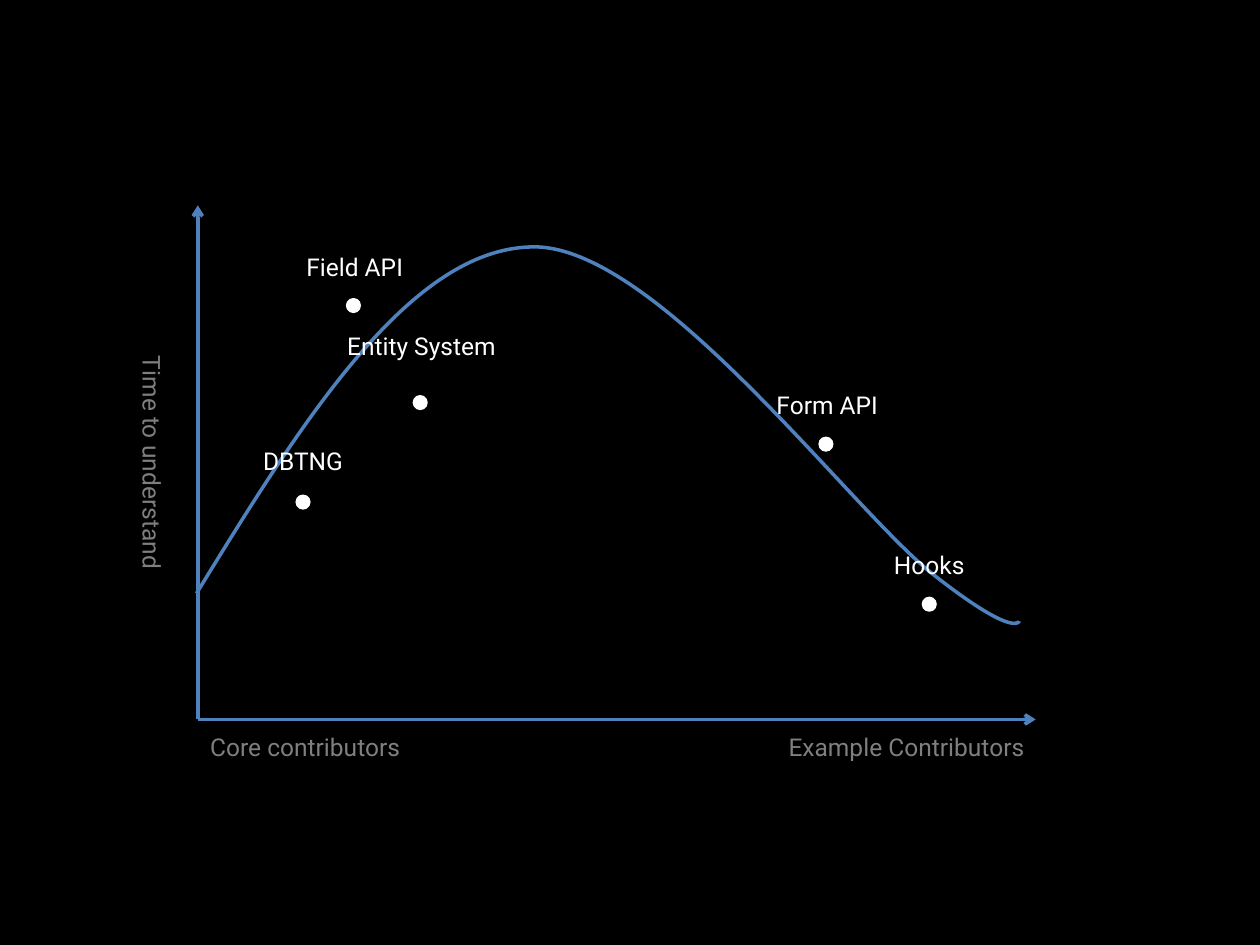
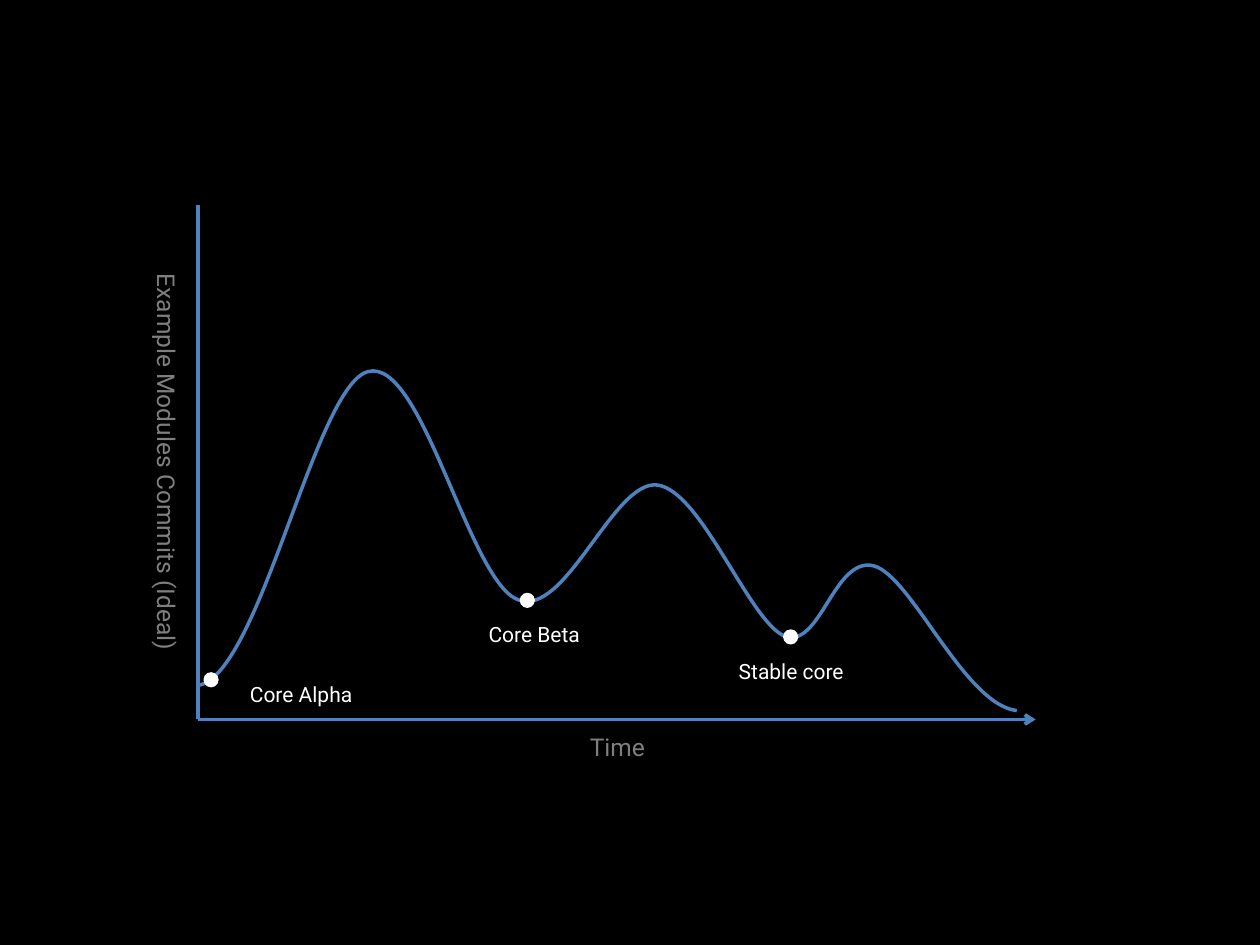
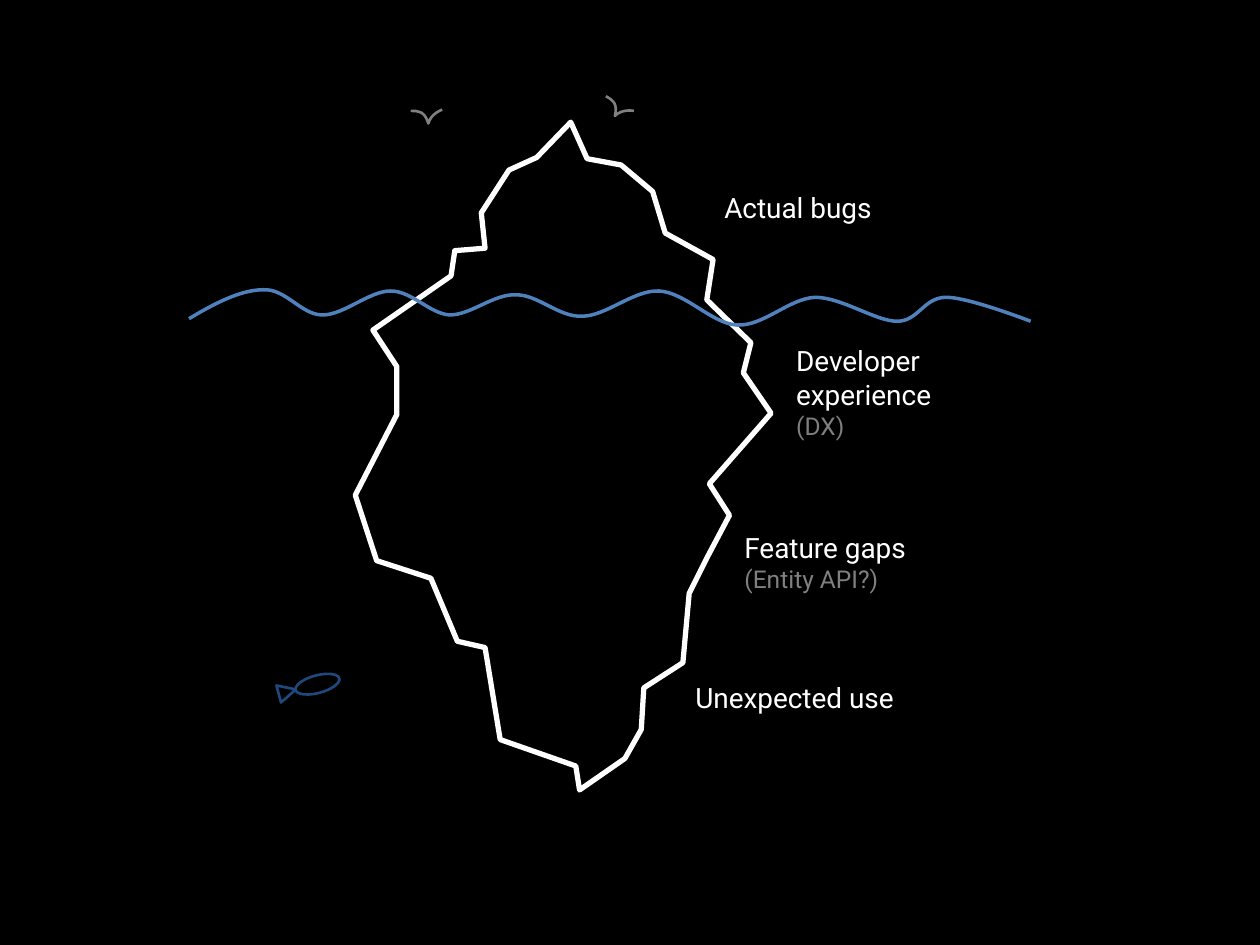
from dataclasses import dataclass

import pptx
import pptx.dml.color
import pptx.enum.shapes
import pptx.enum.text
import pptx.oxml.ns
import pptx.oxml.xmlchemy
import pptx.util

Inches = pptx.util.Inches
Pt = pptx.util.Pt
Align = pptx.enum.text.PP_ALIGN
Preset = pptx.enum.shapes.MSO_SHAPE
new_element = pptx.oxml.xmlchemy.OxmlElement

FONT = "Roboto"
BLACK, WHITE, GREY = "000000", "FFFFFF", "7F7F7F"
BLUE, NAVY = "4F81BD", "1F497D"
BIRD_GREY = "808080"
ORIGIN = (1.57, 5.71)
AXIS_TOP, AXIS_RIGHT = 1.63, 8.22
DOT_SIZE = 0.11

Point = tuple[float, float]


@dataclass(frozen=True)
class Line:
    text: str
    size: float = 14
    color: str = WHITE


@dataclass(frozen=True)
class Caption:
    lines: tuple[Line, ...]
    left: float
    top: float
    width: float
    height: float = 0.34
    align: Align = Align.LEFT
    rotation: float = 0


@dataclass(frozen=True)
class Marker:
    """A labelled dot on a chart."""
    name: str
    dot: Point
    label: Point
    label_height: float = 0.34


TOPICS = (
    Marker("DBTNG", (2.35, 3.93), (1.56, 3.49)),
    Marker("Hooks", (7.32, 4.74), (6.53, 4.32)),
    Marker("Field API", (2.75, 2.37), (1.97, 1.95)),
    Marker("Entity System", (3.28, 3.14), (2.5, 2.58), 0.57),
    Marker("Form API", (6.5, 3.47), (5.72, 3.05)),
)
RELEASES = (
    Marker("Core Alpha", (1.62, 5.34), (1.62, 5.36), 0.3),
    Marker("Core Beta", (4.13, 4.71), (3.47, 4.88), 0.3),
    Marker("Stable core", (6.22, 5), (5.51, 5.18), 0.3),
)
LEARNING_AXIS_CAPTIONS = (
    Caption((Line("Time to understand", color=GREY),), -0.83, 3.5, 4.07,
            align=Align.CENTER, rotation=90),
    Caption((Line("Core contributors", color=GREY),), 1.57, 5.76, 3.36),
    Caption((Line("Example Contributors", color=GREY),), 4.87, 5.76, 3.36, align=Align.RIGHT),
)
COMMIT_AXIS_CAPTIONS = (
    Caption((Line("Example Modules Commits (Ideal)", color=GREY),), -0.83, 3.38, 4.07, 0.57,
            Align.CENTER, 90),
    Caption((Line("Time", color=GREY),), 1.57, 5.76, 6.66, align=Align.CENTER),
)
ICEBERG_CAPTIONS = (
    Caption((Line("Actual bugs", 16),), 5.65, 1.46, 2.13, 0.37),
    Caption((Line("Developer experience", 16), Line("(DX)", color=GREY)), 6.22, 2.68, 2.08, 0.91),
    Caption((Line("Feature gaps", 16), Line("(Entity API?)", color=BIRD_GREY)),
            5.81, 4.16, 2.56, 0.61),
    Caption((Line("Unexpected use", 16),), 5.42, 5.35, 2.57, 0.37),
)

# Curves: a start point, then two control points and an end point per segment.
LEARNING_CURVE = (
    (1.56, 4.71), (2.4, 3.34), (3.25, 1.98), (4.22, 1.96),
    (5.2, 1.93), (6.77, 4.07), (7.42, 4.57), (8.06, 5.07), (8.09, 4.93), (8.09, 4.93),
)
COMMIT_CURVE = (
    (1.57, 5.44), (2.06, 5.37), (2.5, 3.06), (2.92, 2.95),
    (3.35, 2.83), (3.72, 4.61), (4.11, 4.76), (4.49, 4.91), (4.87, 3.8), (5.22, 3.85),
    (5.57, 3.9), (5.95, 4.94), (6.23, 5.05), (6.51, 5.15), (6.62, 4.42), (6.93, 4.49),
    (7.23, 4.56), (7.65, 5.59), (8.07, 5.64),
)
WATERLINE = (
    (1.5, 2.53), (1.7, 2.41), (1.91, 2.3), (2.09, 2.3),
    (2.27, 2.29), (2.39, 2.5), (2.56, 2.5), (2.73, 2.5), (2.93, 2.31), (3.1, 2.31),
    (3.27, 2.31), (3.41, 2.49), (3.57, 2.5), (3.74, 2.5), (3.92, 2.33), (4.1, 2.34),
    (4.27, 2.34), (4.44, 2.52), (4.62, 2.51), (4.81, 2.51), (5.03, 2.3), (5.23, 2.31),
    (5.44, 2.32), (5.65, 2.57), (5.85, 2.58), (6.06, 2.59), (6.26, 2.37), (6.47, 2.36),
    (6.68, 2.36), (6.95, 2.55), (7.12, 2.55), (7.29, 2.55), (7.33, 2.36), (7.51, 2.36),
    (7.69, 2.36), (8.18, 2.55), (8.18, 2.55),
)
BIRD = (
    (0, 0.01), (0.06, 0.01), (0.11, 0.01), (0.14, 0.11),
    (0.16, 0.03), (0.25, 0), (0.25, 0),
)
ICEBERG = (
    (4.53, 0.97), (4.26, 1.25), (4.04, 1.35), (3.82, 1.69), (3.85, 1.97), (3.61, 1.99),
    (3.58, 2.19), (2.96, 2.62), (3.15, 2.91), (3.15, 3.29), (2.82, 3.93), (2.99, 4.45),
    (3.42, 4.59), (3.63, 5.09), (3.85, 5.14), (3.97, 5.87), (4.57, 6.08), (4.6, 6.27),
    (4.96, 6.02), (5.09, 5.79), (5.11, 5.46), (5.42, 5.26), (5.47, 4.71), (5.61, 4.43),
    (5.79, 4.09), (5.63, 3.84), (6.12, 3.28), (5.9, 2.96), (5.96, 2.72), (5.61, 2.38),
    (5.66, 2.06), (5.28, 1.85), (5.18, 1.52), (4.93, 1.31), (4.66, 1.26),
)


def rgb(value: str) -> pptx.dml.color.RGBColor:
    return pptx.dml.color.RGBColor.from_string(value)


def add_black_slide(deck):
    slide = deck.slides.add_slide(deck.slide_layouts[6])
    slide.background.fill.solid()
    slide.background.fill.fore_color.rgb = rgb(BLACK)
    return slide


def style_line(shape, color: str, width: float) -> None:
    shape.line.color.rgb = rgb(color)
    shape.line.width = Pt(width)


def style_outline(shape, color: str, width: float) -> None:
    """Leave only the line of a shape, with no fill or shadow."""
    shape.shadow.inherit = False
    shape.fill.background()
    style_line(shape, color, width)


def add_caption(slide, caption: Caption) -> None:
    box = slide.shapes.add_textbox(Inches(caption.left), Inches(caption.top),
                                   Inches(caption.width), Inches(caption.height))
    box.rotation = caption.rotation
    frame = box.text_frame
    frame.word_wrap = True
    frame.auto_size = pptx.enum.text.MSO_AUTO_SIZE.SHAPE_TO_FIT_TEXT
    frame.text = "\n".join(line.text for line in caption.lines)
    for paragraph, line in zip(frame.paragraphs, caption.lines):
        paragraph.alignment = caption.align
        font = paragraph.runs[0].font
        font.name = FONT
        font.size = Pt(line.size)
        font.color.rgb = rgb(line.color)


def add_captions(slide, captions: tuple[Caption, ...]) -> None:
    for caption in captions:
        add_caption(slide, caption)


def add_axis(slide, end: Point, arrow: bool) -> None:
    axis = slide.shapes.add_connector(pptx.enum.shapes.MSO_CONNECTOR.STRAIGHT,
                                      *map(Inches, ORIGIN), *map(Inches, end))
    style_line(axis, BLUE, 2)
    axis._element.spPr.append(new_element("a:effectLst"))
    if arrow:
        tail = new_element("a:tailEnd")
        tail.set("type", "arrow")
        axis.line._get_or_add_ln().append(tail)


def add_axes(slide, vertical_arrow: bool) -> None:
    add_axis(slide, (ORIGIN[0], AXIS_TOP), vertical_arrow)
    add_axis(slide, (AXIS_RIGHT, ORIGIN[1]), True)


def add_outline(slide, points: tuple[Point, ...], color: str, width: float, close: bool = False):
    start, *rest = [(Inches(x), Inches(y)) for x, y in points]
    builder = slide.shapes.build_freeform(*start)
    builder.add_line_segments(rest, close=close)
    outline = builder.convert_to_shape()
    style_outline(outline, color, width)
    return outline


def add_curve(slide, points: tuple[Point, ...], color: str = BLUE, width: float = 2):
    """Draw an open outline and turn each three of its segments into one Bézier segment."""
    curve = add_outline(slide, points, color, width)
    segments = list(curve._element.iter(pptx.oxml.ns.qn("a:lnTo")))
    for first in range(0, len(segments), 3):
        bezier = new_element("a:cubicBezTo")
        segments[first].addprevious(bezier)
        for segment in segments[first:first + 3]:
            bezier.append(segment[0])
            segment.getparent().remove(segment)
    return curve


def add_markers(slide, markers: tuple[Marker, ...], label_width: float, size: float) -> None:
    for marker in markers:
        add_caption(slide, Caption((Line(marker.name, size),), *marker.label, label_width,
                                   marker.label_height, Align.CENTER))
        dot = slide.shapes.add_shape(Preset.OVAL, *map(Inches, marker.dot),
                                     Inches(DOT_SIZE), Inches(DOT_SIZE))
        style_outline(dot, WHITE, 0.75)
        dot.fill.solid()
        dot.fill.fore_color.rgb = rgb(WHITE)


def add_fish(slide) -> None:
    fish = slide.shapes.add_group_shape()
    body = fish.shapes.add_shape(Preset.OVAL, Inches(2.34), Inches(5.36),
                                 Inches(0.36), Inches(0.14))
    body.rotation = 345
    tail = fish.shapes.add_shape(Preset.ISOSCELES_TRIANGLE, Inches(2.21), Inches(5.42),
                                 Inches(0.14), Inches(0.14))
    tail.rotation = 75
    for part in (body, tail):
        style_outline(part, NAVY, 1.5)


def add_bird(slide, left: float, top: float, rotation: float = 0) -> None:
    wings = tuple((left + x, top + y) for x, y in BIRD)
    add_curve(slide, wings, BIRD_GREY, 1.5).rotation = rotation


def add_learning_slide(deck) -> None:
    slide = add_black_slide(deck)
    add_axes(slide, vertical_arrow=True)
    add_captions(slide, LEARNING_AXIS_CAPTIONS)
    add_curve(slide, LEARNING_CURVE)
    add_markers(slide, TOPICS, label_width=1.69, size=14)


def add_commits_slide(deck) -> None:
    slide = add_black_slide(deck)
    add_curve(slide, COMMIT_CURVE)
    add_axes(slide, vertical_arrow=False)
    add_captions(slide, COMMIT_AXIS_CAPTIONS)
    add_markers(slide, RELEASES, label_width=1.54, size=12)


def add_iceberg_slide(deck) -> None:
    slide = add_black_slide(deck)
    add_outline(slide, ICEBERG, WHITE, 3, close=True)
    add_curve(slide, WATERLINE)
    add_fish(slide)
    add_captions(slide, ICEBERG_CAPTIONS)
    add_bird(slide, 3.26, 0.87)
    add_bird(slide, 4.77, 0.81, rotation=30)


def main() -> None:
    deck = pptx.Presentation()
    deck.slide_width, deck.slide_height = Inches(10), Inches(7.5)
    add_learning_slide(deck)
    add_commits_slide(deck)
    add_iceberg_slide(deck)
    deck.save("out.pptx")


if __name__ == "__main__":
    main()
